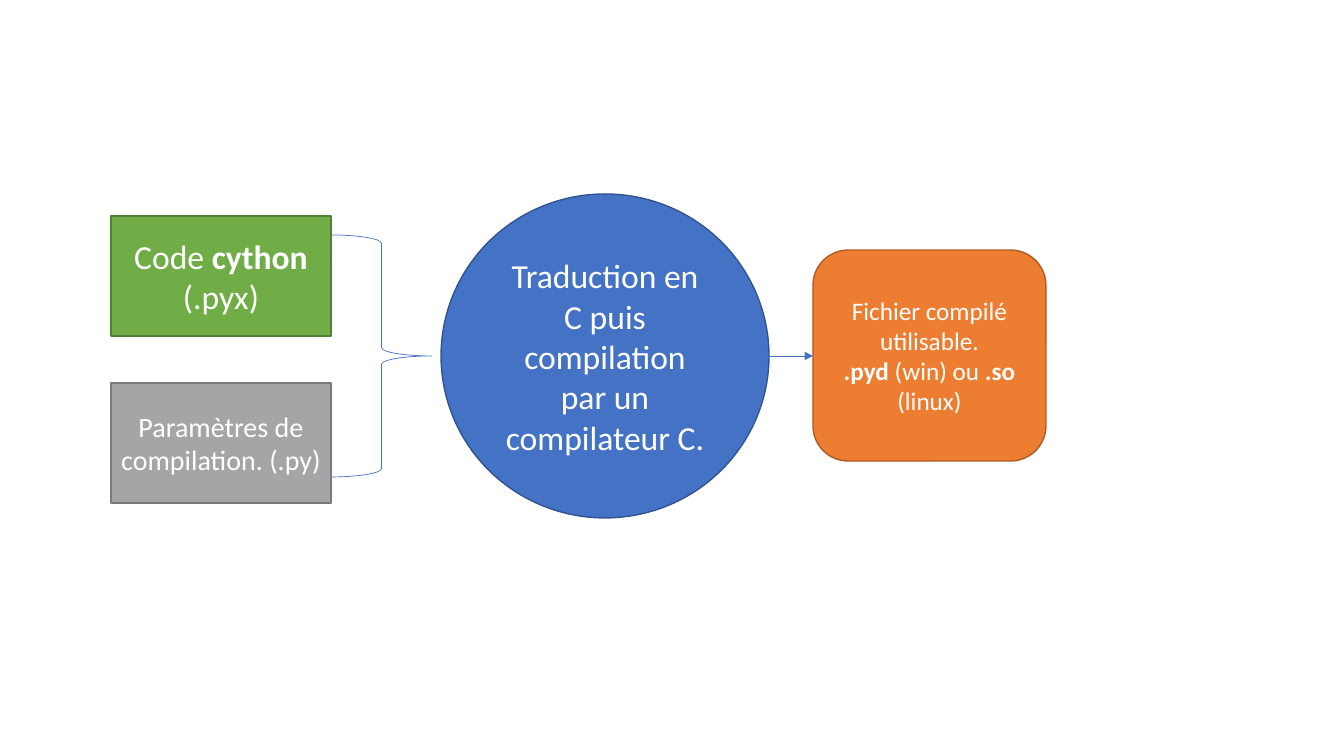
from lxml import etree
from pptx import Presentation
from pptx.dml.color import RGBColor
from pptx.enum.shapes import MSO_CONNECTOR, MSO_SHAPE
from pptx.enum.text import MSO_ANCHOR, PP_ALIGN
from pptx.oxml.ns import qn
from pptx.util import Pt

RECTANGLE = MSO_SHAPE.RECTANGLE
OVAL = MSO_SHAPE.OVAL
ROUNDED = MSO_SHAPE.ROUNDED_RECTANGLE
BRACE = MSO_SHAPE.RIGHT_BRACE
STRAIGHT = MSO_CONNECTOR.STRAIGHT
MIDDLE = MSO_ANCHOR.MIDDLE
CENTER = PP_ALIGN.CENTER

FONT = "Calibri"
WHITE = "FFFFFF"
BLUE = "4472C4"


def px(pixels):
    return round(pixels * 914400 / 100.8)


def color(hex_string):
    return RGBColor.from_string(hex_string)


def add_outline(slide, preset, box, line_color, line_width):
    shape = slide.shapes.add_shape(preset, *map(px, box))
    shape.shadow.inherit = False
    shape.fill.background()
    shape.line.color.rgb = color(line_color)
    shape.line.width = Pt(line_width)
    return shape


def add_step(slide, preset, box, fill, border, size, paragraphs):
    step = add_outline(slide, preset, box, border, 1)
    step.fill.solid()
    step.fill.fore_color.rgb = color(fill)
    frame = step.text_frame
    frame.word_wrap = True
    frame.vertical_anchor = MIDDLE
    for index, runs in enumerate(paragraphs):
        paragraph = frame.add_paragraph() if index else frame.paragraphs[0]
        paragraph.alignment = CENTER
        for text, bold in runs:
            run = paragraph.add_run()
            run.text = text
            run.font.name = FONT
            run.font.size = Pt(size)
            run.font.bold = bold
            run.font.color.rgb = color(WHITE)


def add_sources(slide, left, top, width, height):
    box_height = 120
    sources = [
        ("70AD47", "538035", 24,
         [("Code ", False), ("cython", True), (" (.pyx)", False)]),
        ("A5A5A5", "7A7A7A", 20,
         [("Paramètres de compilation. (.py)", False)]),
    ]
    pitch = (height - box_height) / (len(sources) - 1)
    for row, (fill, border, size, runs) in enumerate(sources):
        box = (left, top + row * pitch, width, box_height)
        add_step(slide, RECTANGLE, box, fill, border, size, [runs])


def add_compilation(slide, left, top, width, height):
    text = "Traduction en C puis compilation par un compilateur C."
    add_step(slide, OVAL, (left, top, width, height), BLUE, "325491", 24,
             [[(text, False)]])


def add_compiled_file(slide, left, top, width, height):
    add_step(slide, ROUNDED, (left, top, width, height), "ED7D31", "AF5C24", 18, [
        [("Fichier compilé utilisable.", False)],
        [(".pyd ", True), ("(win) ou ", False), (".so ", True), ("(linux)", False)],
    ])


def add_arrow(slide, left, right, y):
    arrow = slide.shapes.add_connector(STRAIGHT, px(left), px(y), px(right), px(y))
    arrow.line.color.rgb = color(BLUE)
    arrow.line.width = Pt(0.5)
    etree.SubElement(arrow.line._get_or_add_ln(), qn("a:tailEnd"), type="triangle")
    etree.SubElement(arrow._element.spPr, qn("a:effectLst"))


def build_pipeline(slide, left, top):
    center = top + 162
    add_sources(slide, left, top + 22, 220, 287)
    add_compilation(slide, left + 330, top, 328, 324)
    add_outline(slide, BRACE, (left + 220, center - 121, 101, 242), BLUE, 0.5)
    add_arrow(slide, left + 658, left + 702, center)
    add_compiled_file(slide, left + 702, center - 106, 233, 211)


presentation = Presentation()
presentation.slide_width = px(1344)
presentation.slide_height = px(756)
pipeline_slide = presentation.slides.add_slide(presentation.slide_layouts[6])
build_pipeline(pipeline_slide, 111, 194)
presentation.save("out.pptx")
